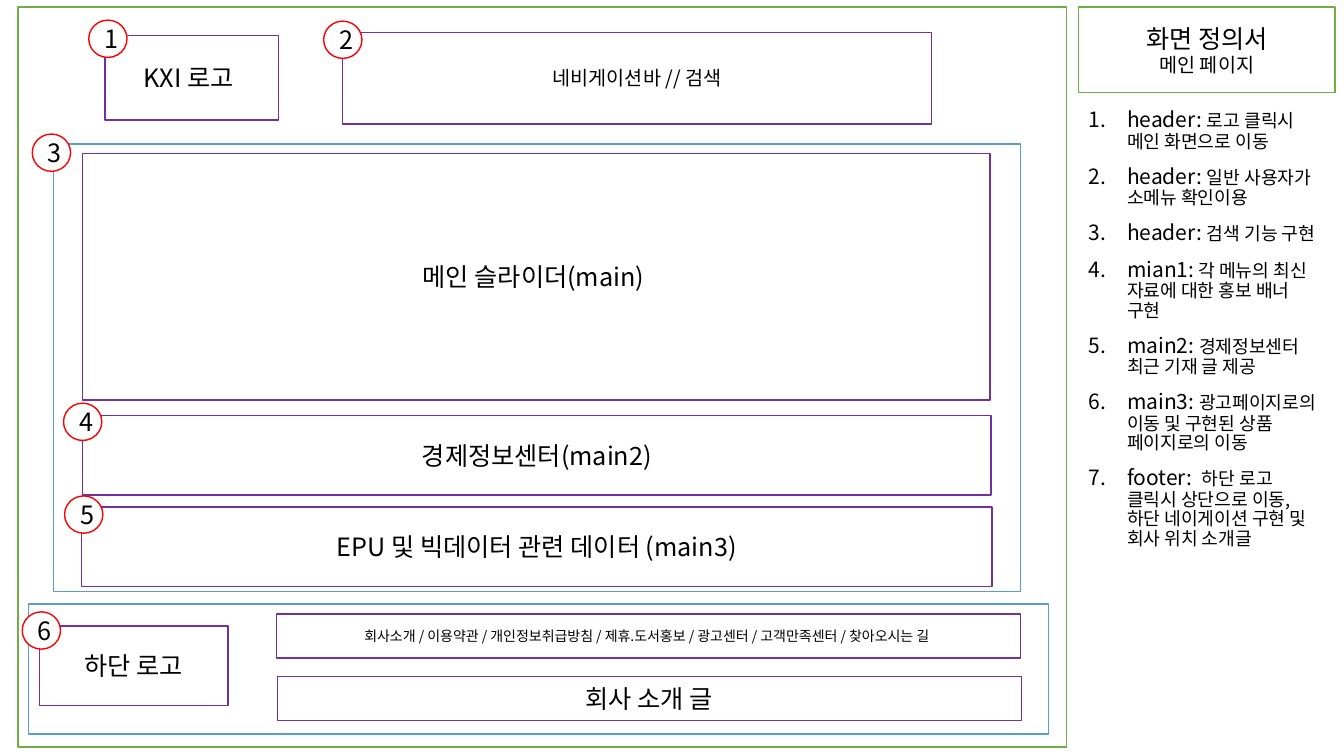
from dataclasses import dataclass

from lxml.etree import SubElement
from pptx import Presentation
from pptx.dml.color import RGBColor
from pptx.enum.shapes import MSO_SHAPE
from pptx.enum.text import MSO_ANCHOR, PP_ALIGN
from pptx.oxml.ns import qn
from pptx.util import Inches, Pt


@dataclass(frozen=True)
class Theme:
    font: str = "Noto Sans CJK KR"
    text: str = "000000"
    fill: str = "FFFFFF"
    frame: str = "70AD47"
    group: str = "5B9BD5"
    block: str = "7030A0"
    badge: str = "FF0000"
    title: int = 18
    label: int = 14
    small: int = 10
    term: int = 15
    note: int = 13


def add_run(p, text, *, size, font, color):
    r = p.add_run()
    r.text = text
    r.font.size = Pt(size)
    r.font.name = font
    r.font.color.rgb = RGBColor.from_string(color)
    SubElement(r._r.get_or_add_rPr(), qn("a:ea"), typeface=font)


class Wireframe:
    def __init__(self, s, theme):
        self.s = s
        self.theme = theme

    def run(self, p, text, size):
        add_run(p, text, size=size, font=self.theme.font, color=self.theme.text)

    def box(self, at, line, *lines, shape=MSO_SHAPE.RECTANGLE):
        sp = self.s.shapes.add_shape(shape, *map(Inches, at))
        sp.shadow.inherit = False
        sp.fill.solid()
        sp.fill.fore_color.rgb = RGBColor.from_string(self.theme.fill)
        sp.line.color.rgb = RGBColor.from_string(line)
        sp.line.width = Pt(1)
        tf = sp.text_frame
        tf.word_wrap = True
        tf.vertical_anchor = MSO_ANCHOR.MIDDLE
        for i, (text, size) in enumerate(lines):
            p = tf.add_paragraph() if i else tf.paragraphs[0]
            p.alignment = PP_ALIGN.CENTER
            self.run(p, text, size)

    def badge(self, number, left, top):
        self.box((left, top, 0.38, 0.37), self.theme.badge,
                 (str(number), self.theme.title),
                 shape=MSO_SHAPE.FLOWCHART_CONNECTOR)

    def numbered_list(self, at, items):
        tf = self.s.shapes.add_textbox(*map(Inches, at)).text_frame
        tf.word_wrap = True
        for i, (term, note) in enumerate(items):
            p = tf.add_paragraph() if i else tf.paragraphs[0]
            p.line_spacing = 0.9
            p.space_before = Pt(10)
            pPr = p._p.get_or_add_pPr()
            pPr.set("marL", str(Inches(0.38)))
            pPr.set("indent", str(-Inches(0.38)))
            SubElement(pPr, qn("a:buFont"), typeface=self.theme.font)
            SubElement(pPr, qn("a:buAutoNum"), type="arabicPeriod")
            self.run(p, term, self.theme.term)
            self.run(p, note, self.theme.note)


def main():
    prs = Presentation()
    prs.slide_width, prs.slide_height = Inches(13.33), Inches(7.5)
    t = Theme()
    page = Wireframe(prs.slides.add_slide(prs.slide_layouts[6]), t)

    for at, line in [
        ((0.18, 0.07, 10.4, 7.34), t.frame),
        ((0.28, 5.99, 10.12, 1.29), t.group),
        ((0.53, 1.43, 9.59, 4.44), t.group),
    ]:
        page.box(at, line)

    footer_menu = ("회사소개 / 이용약관 / 개인정보취급방침 / 제휴.도서홍보 / "
                   "광고센터 / 고객만족센터 / 찾아오시는 길 ")
    for at, text, size in [
        ((1.04, 0.35, 1.72, 0.84), "KXI 로고 ", t.title),
        ((3.4, 0.32, 5.84, 0.91), "네비게이션바 // 검색", t.label),
        ((0.39, 6.21, 1.87, 0.79), "하단 로고", t.title),
        ((0.81, 5.03, 9.03, 0.79), "EPU 및 빅데이터 관련 데이터 (main3)", t.title),
        ((0.82, 4.12, 9.01, 0.79), "경제정보센터(main2)", t.title),
        ((0.82, 1.52, 9, 2.45), "메인 슬라이더(main) ", t.title),
        ((2.74, 6.09, 7.38, 0.44), footer_menu, t.small),
        ((2.75, 6.71, 7.38, 0.44), "회사 소개 글", t.title),
    ]:
        page.box(at, t.block, (text, size))

    page.box((10.7, 0.07, 2.54, 0.85), t.frame,
             ("화면 정의서", t.title), ("메인 페이지", t.label))
    page.numbered_list((10.7, 1.04, 2.54, 6.23), [
        ("header: ", "로고 클릭시 메인 화면으로 이동"),
        ("header: ", "일반 사용자가 소메뉴 확인이용"),
        ("header: ", "검색 기능 구현"),
        ("mian1:", " 각 메뉴의 최신 자료에 대한 홍보 배너 구현"),
        ("main2: ", "경제정보센터 최근 기재 글 제공"),
        ("main3: ", "광고페이지로의 이동 및 구현된 상품 페이지로의 이동"),
        ("footer:  ", "하단 로고 클릭시 상단으로 이동, 하단 네이게이션 구현 및 "
                      "회사 위치 소개글"),
    ])

    badges = [(0.88, 0.2), (3.21, 0.21), (0.32, 1.33),
              (0.63, 4), (0.64, 4.92), (0.22, 6.07)]
    for number, (left, top) in enumerate(badges, 1):
        page.badge(number, left, top)

    prs.save("out.pptx")


if __name__ == "__main__":
    main()
